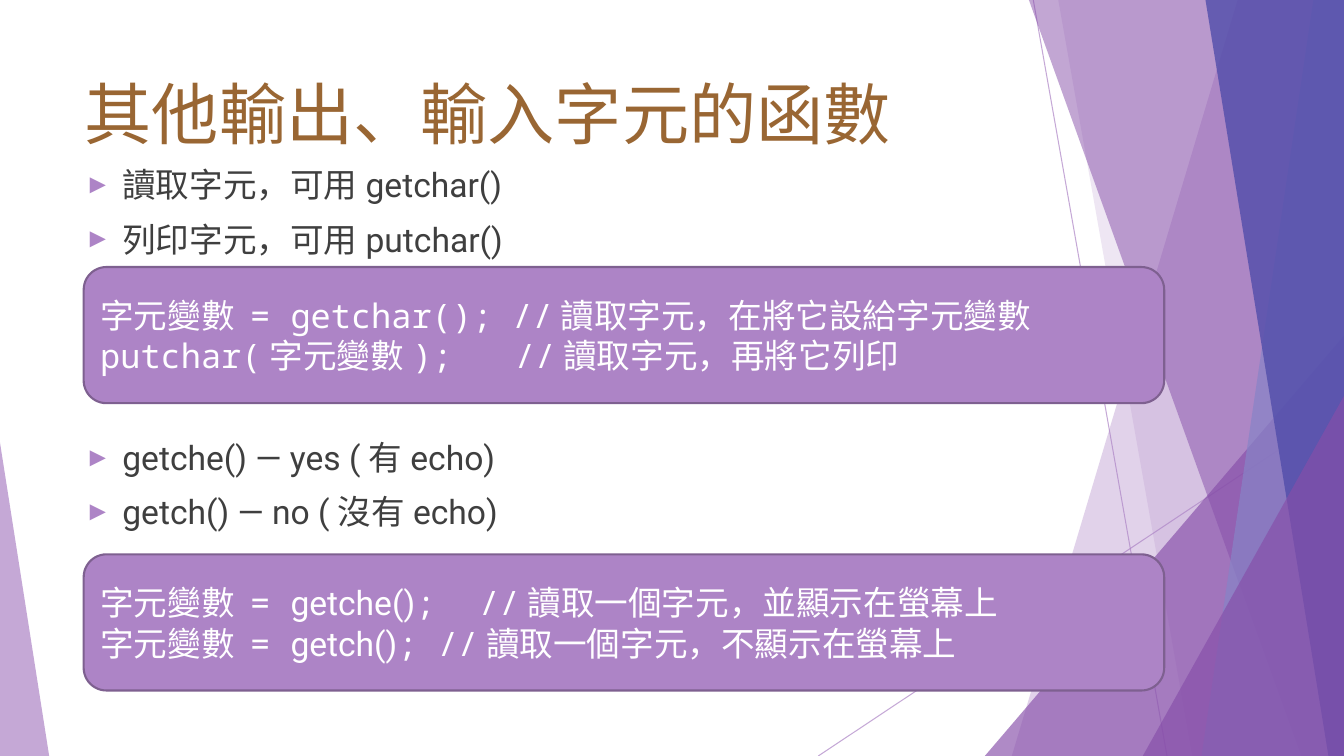
from lxml import etree
from pptx import Presentation
from pptx.dml.color import RGBColor
from pptx.enum.shapes import MSO_CONNECTOR, MSO_SHAPE
from pptx.enum.text import MSO_ANCHOR, MSO_AUTO_SIZE, PP_ALIGN
from pptx.oxml import parse_xml
from pptx.oxml.ns import nsdecls, qn
from pptx.util import Cm, Pt

STRAIGHT = MSO_CONNECTOR.STRAIGHT
ROUND = MSO_SHAPE.ROUNDED_RECTANGLE
TRI = MSO_SHAPE.ISOSCELES_TRIANGLE
TOP, MIDDLE = MSO_ANCHOR.TOP, MSO_ANCHOR.MIDDLE
LEFT = PP_ALIGN.LEFT
NO_FIT = MSO_AUTO_SIZE.NONE

LILAC = RGBColor(0xAD, 0x84, 0xC6)
PLUM = RGBColor(0x86, 0x4E, 0xA9)
MIST = RGBColor(0x87, 0x84, 0xC7)
INDIGO = RGBColor(0x51, 0x4D, 0xAA)
EDGE = RGBColor(0x7E, 0x60, 0x90)
BROWN = RGBColor(0x99, 0x66, 0x33)
GREY = RGBColor(0x3F, 0x3F, 0x3F)
WHITE = RGBColor(0xFF, 0xFF, 0xFF)

SANS, MONO = "Roboto", "Noto Sans Mono"
WIDE, HIGH = 33.87, 19.05


def write(para, text, font=SANS, size=24, color=GREY, before=0):
    para.alignment = LEFT
    para.space_before = Pt(before)
    run = para.add_run()
    run.text = text
    run.font.name = font
    run.font.size = Pt(size)
    run.font.color.rgb = color


def fade(fill, alpha):
    """Make a solid fill show at alpha percent."""
    tint = fill._xPr.find(qn("a:solidFill"))[0]
    etree.SubElement(tint, qn("a:alpha"), val=str(alpha * 1000))


class Page:
    def __init__(self, deck):
        self.slide = deck.slides.add_slide(deck.slide_layouts[1])
        self.shapes = self.slide.shapes

    def paint(self, shape, color, alpha):
        shape.shadow.inherit = False
        shape.fill.solid()
        shape.fill.fore_color.rgb = color
        shape.line.fill.background()
        fade(shape.fill, alpha)

    def line(self, *ends):
        line = self.shapes.add_connector(STRAIGHT, *map(Cm, ends))
        line.line.color.rgb = LILAC
        line.line.width = Pt(0.75)
        fade(line.line.fill, 70)
        etree.SubElement(line._element.spPr, qn("a:effectLst"))

    def band(self, top, foot, color, alpha):
        """Fill from a slanted left side to the right slide edge."""
        pen = self.shapes.build_freeform(Cm(top), 0, 1.0)
        rest = [(WIDE, 0), (WIDE, HIGH), (foot, HIGH)]
        pen.add_line_segments([(Cm(x), Cm(y)) for x, y in rest], close=True)
        self.paint(pen.convert_to_shape(), color, alpha)

    def wedge(self, left, top, width, tip, color, alpha):
        """Stand a right triangle on the bottom slide edge."""
        shape = self.shapes.add_shape(
            TRI, Cm(left), Cm(top), Cm(width), Cm(HIGH - top))
        shape.adjustments[0] = tip
        self.paint(shape, color, alpha)

    def place(self, index, left, top, width, height):
        """Move a placeholder and bring it to the front."""
        holder = self.slide.placeholders[index]
        holder.left, holder.top = Cm(left), Cm(top)
        holder.width, holder.height = Cm(width), Cm(height)
        self.shapes._spTree.append(holder._element)
        frame = holder.text_frame
        frame.auto_size = NO_FIT
        frame.vertical_anchor = TOP
        return frame

    def title(self, text):
        frame = self.place(0, 1.88, 1.7, 25.4, 2.11)
        write(frame.paragraphs[0], text, size=48, color=BROWN)

    def list(self, items):
        frame = self.place(1, 1.88, 4.01, 26.52, 15.49)
        for i, (text, before) in enumerate(items):
            para = frame.add_paragraph() if i else frame.paragraphs[0]
            write(para, text, before=before)
            props = para._p.get_or_add_pPr()
            props.set("marL", str(Cm(0.95)))
            props.set("indent", str(Cm(-0.95)))
            ns = nsdecls("a")
            for mark in (
                f'<a:buClr {ns}><a:srgbClr val="{LILAC}"/></a:buClr>',
                f'<a:buSzPct {ns} val="80000"/>',
                f'<a:buChar {ns} char="►"/>',
            ):
                props.append(parse_xml(mark))

    def code(self, top, rows, stop):
        """Draw a code box whose comments may start at a tab stop."""
        box = self.shapes.add_shape(
            ROUND, Cm(2.11), Cm(top), Cm(27.23), Cm(3.43))
        box.shadow.inherit = False
        box.fill.solid()
        box.fill.fore_color.rgb = LILAC
        box.line.color.rgb = EDGE
        box.line.width = Pt(1.5)
        frame = box.text_frame
        frame.word_wrap = True
        frame.vertical_anchor = MIDDLE
        for i, row in enumerate(rows):
            para = frame.add_paragraph() if i else frame.paragraphs[0]
            for text, font in row:
                write(para, text, font=font, color=WHITE)
            tabs = etree.SubElement(para._p.get_or_add_pPr(), qn("a:tabLst"))
            etree.SubElement(
                tabs, qn("a:tab"), pos=str(Cm(stop)), algn="l")


def main():
    deck = Presentation()
    deck.slide_width, deck.slide_height = Cm(WIDE), Cm(HIGH)
    page = Page(deck)

    page.line(26.04, 0, 29.41, HIGH)
    page.line(WIDE, 10.24, 20.62, HIGH)
    page.band(31.19, 25.5, LILAC, 36)
    page.band(26.67, 30.05, LILAC, 20)
    page.wedge(24.82, 8.46, 9.05, 1, PLUM, 66)
    page.band(25.93, 32.79, PLUM, 50)
    page.band(33.1, 30.28, MIST, 70)
    page.band(30.38, 33.48, INDIGO, 80)
    page.wedge(28.8, 9.98, 5.07, 1, PLUM, 66)
    page.wedge(0, 11.15, 1.24, 0, LILAC, 70)

    page.title("其他輸出、輸入字元的函數")
    page.list([
        ("讀取字元，可⽤getchar()", 0),
        ("列印字元，可⽤putchar()", 10),
        ("getche() — yes (有echo)", 127),
        ("getch() — no (沒有echo)", 10),
    ])
    page.code(6.73, [
        [("字元變數 = getchar(); //讀取字元，在將它設給字元變數", MONO)],
        [("putchar(字元變數);\t//讀取字元，再將它列印", MONO)],
    ], stop=10.45)
    page.code(13.97, [
        [("字元變數 = ", MONO), (name, SANS), (note, MONO)]
        for name, note in (
            ("getche()", ";\t//讀取一個字元，並顯示在螢幕上"),
            ("getch()", "; //讀取一個字元，不顯示在螢幕上"),
        )
    ], stop=9.55)
    deck.save("out.pptx")


if __name__ == "__main__":
    main()
